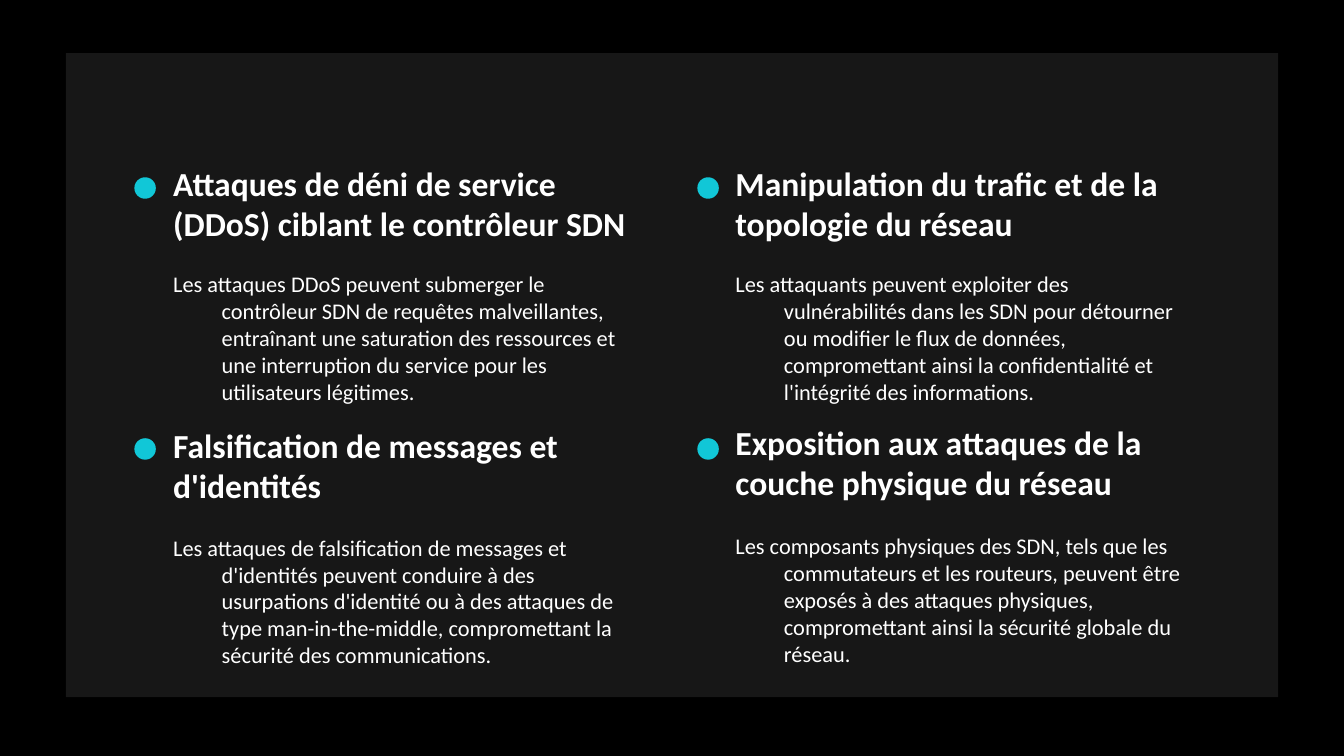
from pptx import Presentation
from pptx.dml.color import RGBColor
from pptx.enum.shapes import MSO_SHAPE
from pptx.enum.text import MSO_ANCHOR, MSO_AUTO_SIZE, PP_ALIGN
from pptx.util import Pt

BLACK = RGBColor(0x00, 0x00, 0x00)
CHARCOAL = RGBColor(0x17, 0x17, 0x17)
CYAN = RGBColor(0x11, 0xC7, 0xD7)
WHITE = RGBColor(0xFF, 0xFF, 0xFF)

TEXT_WIDTH = 260.6
HEADING_HEIGHT = 37.4
BODY_HEIGHT = 92.2
DOT_SIZE = 11.5
HANGING = 26

prs = Presentation()
prs.slide_width = Pt(720)
prs.slide_height = Pt(405)
slide = prs.slides.add_slide(prs.slide_layouts[6])
slide.background.fill.solid()
slide.background.fill.fore_color.rgb = BLACK


def add_filled(kind, left, top, width, height, color):
    shape = slide.shapes.add_shape(kind, Pt(left), Pt(top), Pt(width), Pt(height))
    shape.shadow.inherit = False
    shape.fill.solid()
    shape.fill.fore_color.rgb = color
    shape.line.fill.background()


def add_text(text, left, top, height, size, bold, anchor):
    box = slide.shapes.add_textbox(Pt(left), Pt(top), Pt(TEXT_WIDTH), Pt(height))
    frame = box.text_frame
    frame.word_wrap = True
    frame.auto_size = MSO_AUTO_SIZE.NONE
    frame.vertical_anchor = anchor
    frame.margin_left = frame.margin_right = Pt(7.2)
    frame.margin_top = frame.margin_bottom = Pt(7.2)
    paragraph = frame.paragraphs[0]
    paragraph.alignment = PP_ALIGN.LEFT
    run = paragraph.add_run()
    run.text = text
    run.font.name = "Calibri"
    run.font.size = Pt(size)
    run.font.bold = bold
    run.font.color.rgb = WHITE
    return paragraph


add_filled(MSO_SHAPE.RECTANGLE, 35.3, 28.5, 649.4, 345, CHARCOAL)

left_column = (72, 85.7)
right_column = (373.6, 386.9)
upper_dot, lower_dot = 95, 234.8

threats = [
    (left_column, upper_dot, 100.1, 137.5,
     "Attaques de déni de service (DDoS) ciblant le contrôleur SDN",
     "Les attaques DDoS peuvent submerger le contrôleur SDN de requêtes malveillantes, "
     "entraînant une saturation des ressources et une interruption du service pour les "
     "utilisateurs légitimes."),
    (right_column, upper_dot, 100.1, 137.5,
     "Manipulation du trafic et de la topologie du réseau",
     "Les attaquants peuvent exploiter des vulnérabilités dans les SDN pour détourner ou "
     "modifier le flux de données, compromettant ainsi la confidentialité et l'intégrité "
     "des informations."),
    (left_column, lower_dot, 240.5, 278.8,
     "Falsification de messages et d'identités",
     "Les attaques de falsification de messages et d'identités peuvent conduire à des "
     "usurpations d'identité ou à des attaques de type man-in-the-middle, compromettant "
     "la sécurité des communications."),
    (right_column, lower_dot, 239, 277.9,
     "Exposition aux attaques de la couche physique du réseau",
     "Les composants physiques des SDN, tels que les commutateurs et les routeurs, peuvent "
     "être exposés à des attaques physiques, compromettant ainsi la sécurité globale du "
     "réseau."),
]

for (dot_left, text_left), dot_top, heading_top, body_top, heading, body in threats:
    add_filled(MSO_SHAPE.OVAL, dot_left, dot_top, DOT_SIZE, DOT_SIZE, CYAN)
    add_text(heading, text_left, heading_top, HEADING_HEIGHT, 18, True, MSO_ANCHOR.BOTTOM)
    description = add_text(body, text_left, body_top, BODY_HEIGHT, 12, False, MSO_ANCHOR.TOP)
    properties = description._p.get_or_add_pPr()
    properties.set("marL", str(Pt(HANGING)))
    properties.set("indent", str(Pt(-HANGING)))

prs.save("out.pptx")
